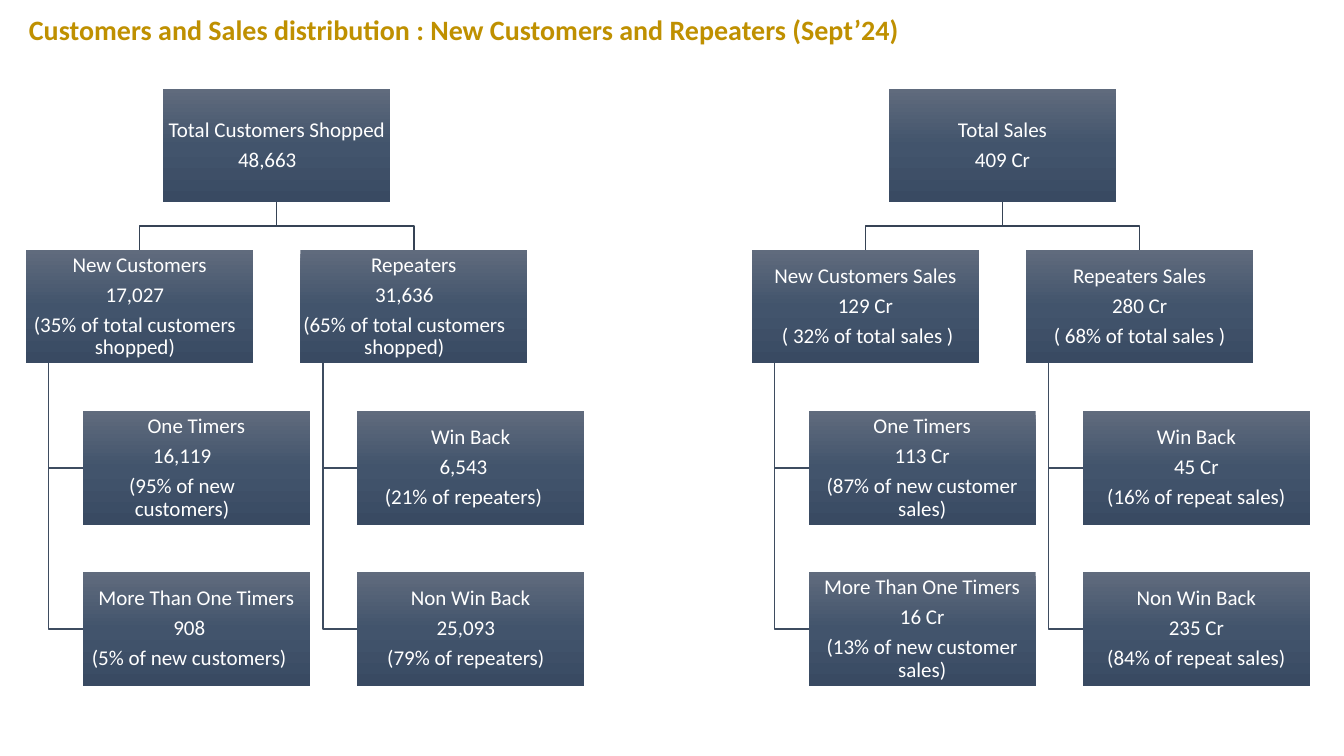
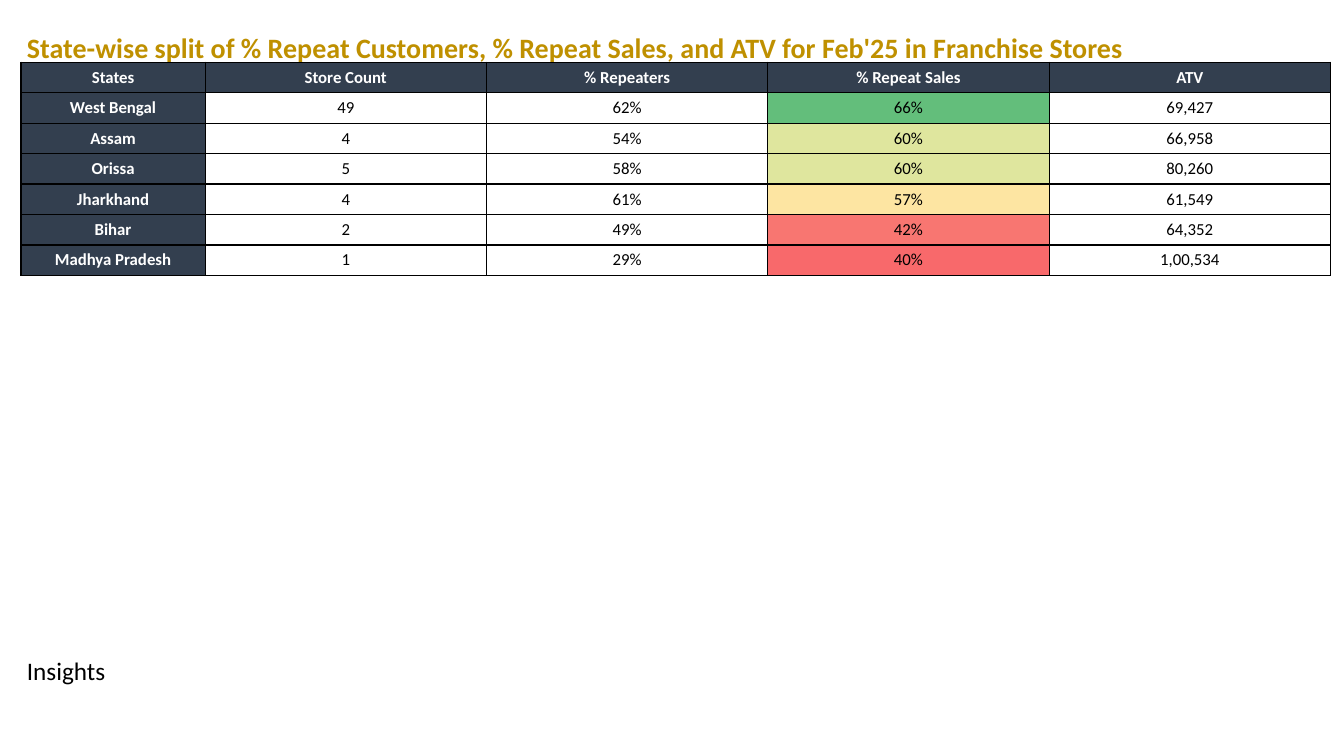
from copy import deepcopy

from lxml import etree
from pptx import Presentation
from pptx.dml.color import RGBColor
from pptx.enum.shapes import MSO_SHAPE
from pptx.enum.text import MSO_ANCHOR, PP_ALIGN
from pptx.oxml.ns import qn
from pptx.util import Cm, Pt

RECT = MSO_SHAPE.RECTANGLE
MIDDLE = MSO_ANCHOR.MIDDLE
CENTER = PP_ALIGN.CENTER

FONT = "Calibri"
GOLD = RGBColor(0xBF, 0x90, 0x00)
WHITE = RGBColor(0xFF, 0xFF, 0xFF)
BLACK = RGBColor(0x00, 0x00, 0x00)
NAVY = RGBColor(0x33, 0x3F, 0x4F)
STEM = RGBColor(0x36, 0x43, 0x55)
BRANCH = RGBColor(0x3E, 0x4C, 0x60)
GREEN = RGBColor(0x63, 0xBE, 0x7B)
LIME = RGBColor(0xDF, 0xE6, 0x9E)
AMBER = RGBColor(0xFD, 0xE5, 0xA2)
CORAL = RGBColor(0xF8, 0x76, 0x71)
RED = RGBColor(0xF8, 0x69, 0x6B)
SHADES = [
    (0, RGBColor(0x60, 0x6B, 0x7D)),
    (0.5, RGBColor(0x42, 0x54, 0x6C)),
    (1, RGBColor(0x39, 0x4A, 0x62)),
]

# Tree grid
BOX_W, BOX_H = Cm(5.72), Cm(2.86)
COL_STEP, ROW_STEP = Cm(6.91), Cm(4.06)
INDENT, SPINE = Cm(1.43), Cm(0.57)

# Each node: its lines, and the right margin in points that shifts the figure
CUSTOMERS = (
    (["Total Customers Shopped", "48,663"], 13.6),
    [
        [
            (["New Customers", "17,027", "(35% of total customers shopped)"], 6.8),
            (["One Timers", "16,119", "(95% of new customers)"], 20.4),
            (["More Than One Timers", "908", "(5% of new customers)"], 10.2),
        ],
        [
            (["Repeaters", "31,636", "(65% of total customers shopped)"], 13.6),
            (["Win Back", "6,543", "(21% of repeaters)"], 10.2),
            (["Non Win Back", "25,093", "(79% of repeaters)"], 6.8),
        ],
    ],
)
SALES = (
    (["Total Sales", "409 Cr"], 0),
    [
        [
            (["New Customers Sales", "129 Cr", " ( 32% of total sales )"], 0),
            (["One Timers", "113 Cr", "(87% of new customer sales)"], 0),
            (["More Than One Timers", "16 Cr", "(13% of new customer sales)"], 0),
        ],
        [
            (["Repeaters Sales", "280 Cr", "( 68% of total sales )"], 0),
            (["Win Back", "45 Cr", "(16% of repeat sales)"], 0),
            (["Non Win Back", "235 Cr", "(84% of repeat sales)"], 0),
        ],
    ],
)

STATES = [
    ["States", "Store Count", "% Repeaters", "% Repeat Sales", "ATV"],
    ["West Bengal", "49", "62%", "66%", "69,427"],
    ["Assam", "4", "54%", "60%", "66,958"],
    ["Orissa", "5", "58%", "60%", "80,260"],
    ["Jharkhand", "4", "61%", "57%", "61,549"],
    ["Bihar", "2", "49%", "42%", "64,352"],
    ["Madhya Pradesh", "1", "29%", "40%", "1,00,534"],
]
HEAT_COL = 3
HEAT = [GREEN, LIME, LIME, AMBER, CORAL, RED]


def add_run(para, text, size, color, bold=False):
    run = para.add_run()
    run.text = text
    font = run.font
    font.name, font.size, font.bold = FONT, Pt(size), bold
    font.color.rgb = color


def add_label(slide, text, left, top, width, height, size, color, bold=False):
    frame = slide.shapes.add_textbox(left, top, width, height).text_frame
    frame.word_wrap = True
    add_run(frame.paragraphs[0], text, size, color, bold)


def add_title(slide, text, left, top, width):
    add_label(slide, text, left, top, width, Cm(1.11), 20, GOLD, True)


# Tree parts
def add_path(slide, points, color):
    pen = slide.shapes.build_freeform(*points[0])
    pen.add_line_segments(points[1:], close=False)
    path = pen.convert_to_shape()
    path.shadow.inherit = False
    path.fill.background()
    path.line.color.rgb = color
    path.line.width = Pt(1)


def add_node(slide, node, left, top):
    lines, shift = node
    box = slide.shapes.add_shape(RECT, left, top, BOX_W, BOX_H)
    box.shadow.inherit = False
    box.line.fill.background()

    # Three-stop gradient, top to bottom
    box.fill.gradient()
    box.fill.gradient_angle = 270
    first = box._element.spPr.find(".//" + qn("a:gs"))
    first.addnext(deepcopy(first))
    for stop, (place, color) in zip(box.fill.gradient_stops, SHADES):
        stop.position = place
        stop.color.rgb = color

    frame = box.text_frame
    frame.word_wrap = True
    frame.vertical_anchor = MIDDLE
    frame.margin_left = frame.margin_right = Cm(0.03)
    frame.margin_top = frame.margin_bottom = Cm(0.03)
    for i, line in enumerate(lines):
        para = frame.paragraphs[0] if i == 0 else frame.add_paragraph()
        para.alignment = CENTER
        para.line_spacing = 0.9
        para.space_after = Pt(5.25)
        if i == 1 and shift:
            para._p.get_or_add_pPr().set("marR", str(Pt(shift)))
        add_run(para, line, 15, WHITE)


def add_tree(slide, tree, left, top):
    root, groups = tree
    root_x = left + COL_STEP // 2
    mid = root_x + BOX_W // 2
    base, head = top + BOX_H, top + ROW_STEP
    bend = (base + head) // 2

    # Lines first, so the boxes lie over their ends
    for col, group in enumerate(groups):
        x = left + col * COL_STEP
        goal = x + BOX_W // 2
        add_path(slide, [(mid, base), (mid, bend), (goal, bend), (goal, head)], STEM)
        for row in range(1, len(group)):
            y = head + row * ROW_STEP + BOX_H // 2
            spine = x + SPINE
            add_path(slide, [(spine, head + BOX_H), (spine, y), (x + INDENT, y)], BRANCH)

    add_node(slide, root, root_x, top)
    for col, group in enumerate(groups):
        for row, node in enumerate(group):
            x = left + col * COL_STEP + (INDENT if row else 0)
            add_node(slide, node, x, head + row * ROW_STEP)


# Table parts
def add_edges(cell):
    props = cell._tc.get_or_add_tcPr()
    for side in ("a:lnL", "a:lnR", "a:lnT", "a:lnB"):
        edge = etree.SubElement(props, qn(side), w=str(Pt(1)))
        fill = etree.SubElement(edge, qn("a:solidFill"))
        etree.SubElement(fill, qn("a:srgbClr"), val=str(BLACK))


def add_grid(slide, rows, left, top, width, height):
    first = Cm(4.64)
    count = len(rows[0])
    table = slide.shapes.add_table(len(rows), count, left, top, width, height).table
    table.first_row = table.horz_banding = False
    for c, col in enumerate(table.columns):
        col.width = first if c == 0 else (width - first) // (count - 1)
    for r, row in enumerate(rows):
        for c, text in enumerate(row):
            cell = table.cell(r, c)
            head = r == 0 or c == 0
            add_edges(cell)
            cell.fill.solid()
            if head:
                color = NAVY
            else:
                color = HEAT[r - 1] if c == HEAT_COL else WHITE
            cell.fill.fore_color.rgb = color
            para = cell.text_frame.paragraphs[0]
            para.alignment = CENTER
            add_run(para, text, 12, WHITE if head else BLACK, head)


# Slides
def add_split(slide):
    add_tree(slide, CUSTOMERS, Cm(0.66), Cm(2.24))
    add_tree(slide, SALES, Cm(18.95), Cm(2.24))
    add_title(
        slide,
        "Customers and Sales distribution : New Customers and Repeaters (Sept’24)",
        Cm(0.48), Cm(0.18), Cm(25.73),
    )


def add_states(slide):
    add_title(
        slide,
        "State-wise split of % Repeat Customers, % Repeat Sales, "
        "and ATV for Feb'25 in Franchise Stores",
        Cm(0.43), Cm(0.64), Cm(28.65),
    )
    add_label(slide, "Insights", Cm(0.43), Cm(16.38), Cm(32.13), Cm(1.02), 18, BLACK)
    add_grid(slide, STATES, Cm(0.53), Cm(1.57), Cm(33), Cm(5.37))


def main():
    deck = Presentation()
    deck.slide_width, deck.slide_height = Cm(33.87), Cm(19.05)
    for build in (add_split, add_states):
        build(deck.slides.add_slide(deck.slide_layouts[6]))
    deck.save("out.pptx")


if __name__ == "__main__":
    main()
